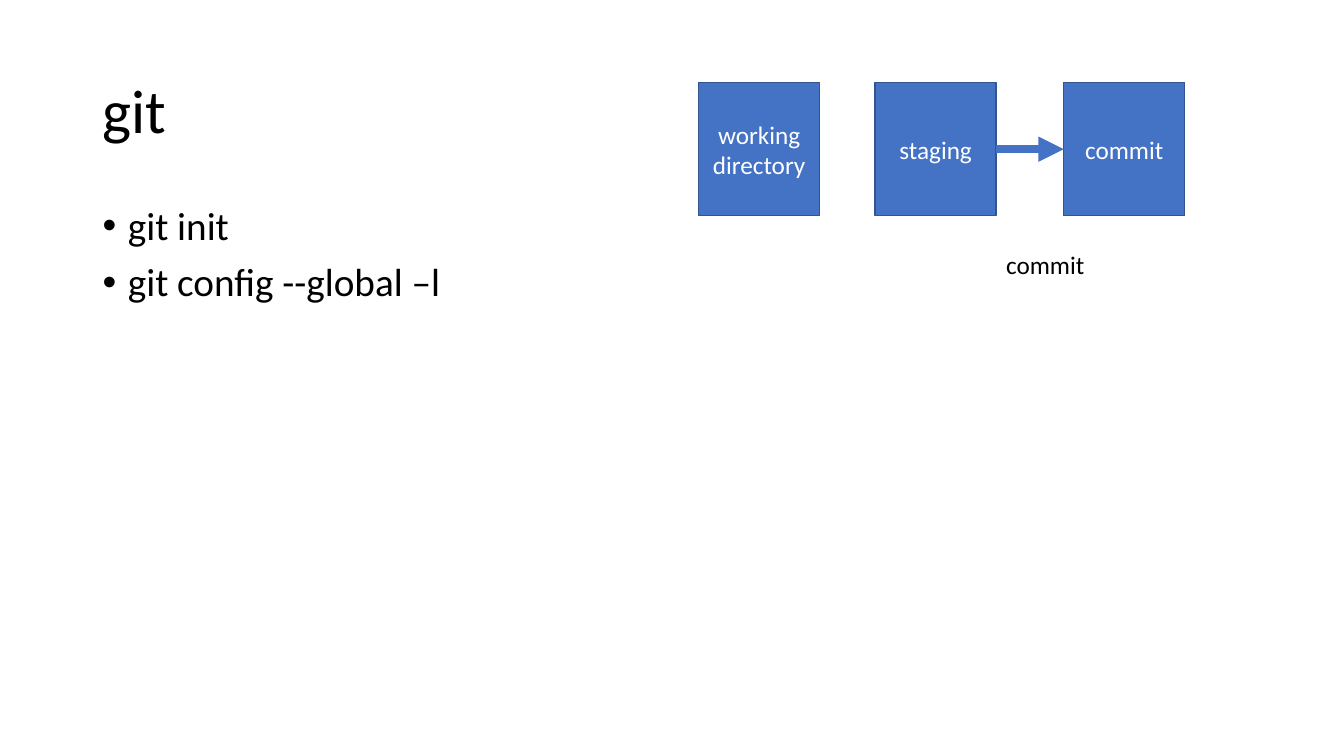
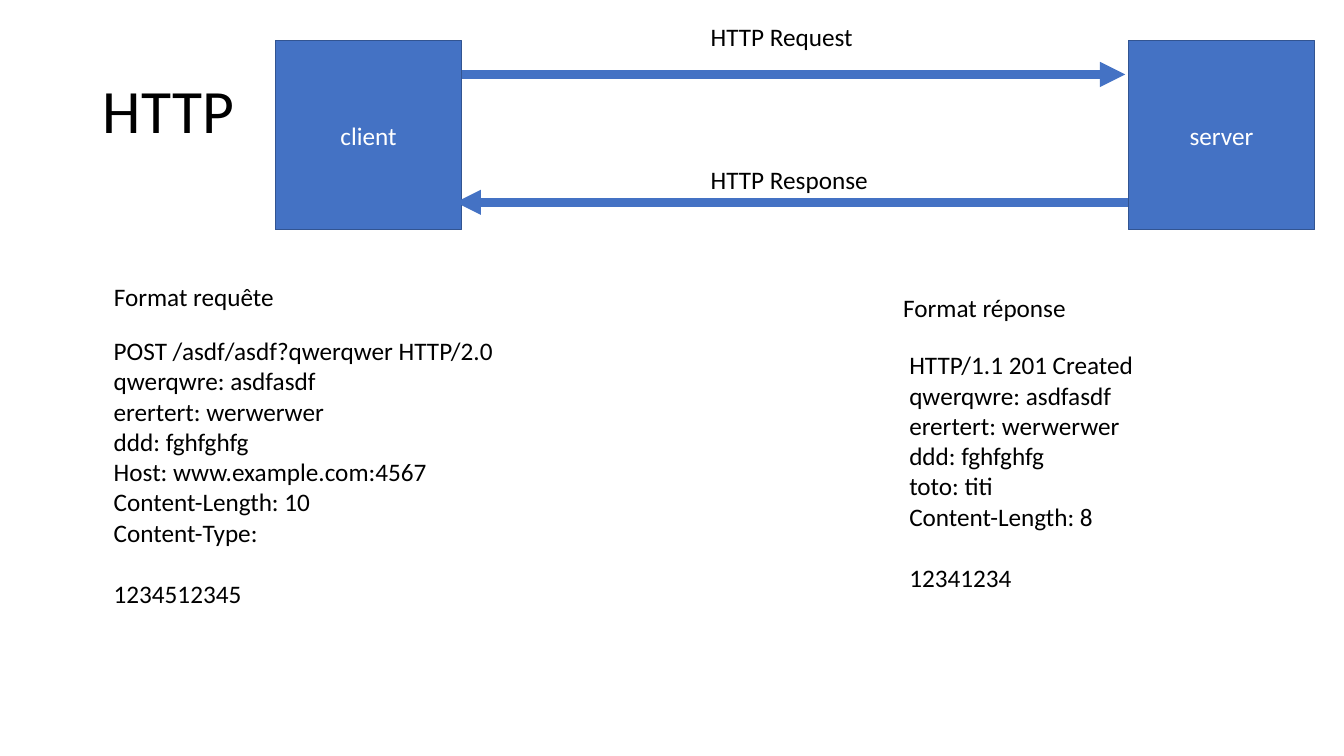
from dataclasses import dataclass

from pptx import Presentation
from pptx import util as u
from pptx.dml.color import RGBColor
from pptx.enum import shapes, text
from pptx.oxml.ns import qn
from lxml import etree

FONT = "Calibri"
BLUE, EDGE, INK, WHITE = "4472C4", "325491", "000000", "FFFFFF"
WIDTH, HEIGHT = 13.33, 7.5
MARGIN, TITLE_TOP, TITLE_HEIGHT = 0.92, 0.4, 1.45
TITLE_SIZE, BULLET_SIZE, TEXT_SIZE = 44, 28, 18
LABEL_HEIGHT = 0.4
LINE_HEIGHT = 22  # points taken by one line of TEXT_SIZE


@dataclass
class Box:
    """An area of the page, in inches."""
    left: float
    top: float
    width: float
    height: float

    def inside(self, left, top, width, height):
        """A box placed by its distance from this box's corner."""
        return Box(self.left + left, self.top + top, width, height)

    def lengths(self):
        return [u.Inches(n) for n in (self.left, self.top, self.width, self.height)]


# Shared styles
def colour(value):
    return RGBColor.from_string(value)


def style(para, size, ink=INK):
    para.font.name = FONT
    para.font.size = u.Pt(size)
    para.font.color.rgb = colour(ink)


def add_page(deck, title, width):
    page = deck.slides.add_slide(deck.slide_layouts[5])
    holder = page.shapes.title
    area = Box(MARGIN, TITLE_TOP, width, TITLE_HEIGHT)
    holder.left, holder.top, holder.width, holder.height = area.lengths()
    frame = holder.text_frame
    frame.text = title
    frame.vertical_anchor = text.MSO_ANCHOR.MIDDLE
    para = frame.paragraphs[0]
    para.alignment = text.PP_ALIGN.LEFT
    para.line_spacing = 0.9
    style(para, TITLE_SIZE)
    return page


def add_block(page, area, caption):
    block = page.shapes.add_shape(shapes.MSO_SHAPE.RECTANGLE, *area.lengths())
    block.shadow.inherit = False
    block.fill.solid()
    block.fill.fore_color.rgb = colour(BLUE)
    block.line.color.rgb = colour(EDGE)
    block.line.width = u.Pt(1)
    frame = block.text_frame
    frame.text = caption
    frame.word_wrap = True
    frame.vertical_anchor = text.MSO_ANCHOR.MIDDLE
    para = frame.paragraphs[0]
    para.alignment = text.PP_ALIGN.CENTER
    style(para, TEXT_SIZE, WHITE)
    return block


def add_arrow(page, start, end, y):
    arrow = page.shapes.add_connector(
        shapes.MSO_CONNECTOR.STRAIGHT, *[u.Inches(n) for n in (start, y, end, y)])
    arrow.line.color.rgb = colour(BLUE)
    arrow.line.width = u.Pt(6)
    etree.SubElement(arrow.line._get_or_add_ln(), qn("a:tailEnd"), type="triangle")
    etree.SubElement(arrow._element.spPr, qn("a:effectLst"))
    return arrow


def add_text(page, area, lines, size=TEXT_SIZE, wrap=False):
    frame = page.shapes.add_textbox(*area.lengths()).text_frame
    frame.word_wrap = wrap
    for number, line in enumerate(lines):
        para = frame.paragraphs[0] if number == 0 else frame.add_paragraph()
        para.text = line
        style(para, size)
    return frame.paragraphs


# Regions
def bullet_list(page, area, lines):
    for para in add_text(page, area, lines, BULLET_SIZE, wrap=True):
        para.line_spacing = 0.9
        para.space_before = u.Pt(10)
        props = para._p.get_or_add_pPr()
        props.set("marL", str(u.Inches(0.25)))
        props.set("indent", str(u.Inches(-0.25)))
        etree.SubElement(props, qn("a:buFont"), typeface="Arial")
        etree.SubElement(props, qn("a:buChar"), char="•")
        # The default run properties come last in the schema
        props.append(props.find(qn("a:defRPr")))


def stage_row(page, area):
    stages = (("working directory", 0), ("staging", 1.75), ("commit", 3.62))
    blocks = [add_block(page, area.inside(left, 0, 1.2, area.height), name)
              for name, left in stages]
    arrow = add_arrow(page, area.left + 2.95, area.left + 3.62,
                      area.top + area.height / 2)
    arrow.begin_connect(blocks[1], 3)
    arrow.end_connect(blocks[2], 1)
    add_text(page, area.inside(2.95, 1.6, 0.99, LABEL_HEIGHT), ["commit"])


def exchange(page, area):
    side = 1.85
    far = area.width - side
    for name, left in (("client", 0), ("server", far)):
        add_block(page, area.inside(left, 0, side, area.height), name)
    # Label, its top and width, arrow start and end, arrow's share of the height
    messages = (("HTTP Request", -0.24, 1.63, side, far - 0.03, 0.18),
                ("HTTP Response", 1.18, 1.78, far, side - 0.06, 0.855))
    for label, top, width, start, end, share in messages:
        add_arrow(page, area.left + start, area.left + end,
                  area.top + share * area.height)
        add_text(page, area.inside(4.22, top, width, LABEL_HEIGHT), [label])


def message_format(page, area, heading, heading_width, offset, lines, content):
    add_text(page, area.inside(0, 0, heading_width, LABEL_HEIGHT), [heading])
    left, top = offset
    body = area.inside(left, top, area.width - left, area.height - top)
    paras = add_text(page, body, [*lines, content])
    paras[-1].space_before = u.Pt(LINE_HEIGHT)


# Slides
def git_slide(deck):
    page = add_page(deck, "git", 4.35)
    bullet_list(page, Box(MARGIN, 2, 3.9, 4.76),
                ["git init", "git config --global –l"])
    stage_row(page, Box(6.93, 0.82, 4.82, 1.32))


def http_slide(deck):
    page = add_page(deck, "HTTP", 11.5)
    exchange(page, Box(2.73, TITLE_TOP, 10.31, 1.88))
    shared = ["qwerqwre: asdfasdf", "erertert: werwerwer", "ddd: fghfghfg"]
    message_format(
        page, Box(1.03, 2.74, 4, 3.67), "Format requête", 1.81, (0, 0.54),
        ["POST /asdf/asdf?qwerqwer HTTP/2.0", *shared,
         "Host: www.example.com:4567", "Content-Length: 10", "Content-Type:"],
        "1234512345")
    message_format(
        page, Box(8.86, 2.85, 2.56, 3.4), "Format réponse", 1.83, (0.06, 0.57),
        ["HTTP/1.1 201 Created", *shared, "toto: titi", "Content-Length: 8"],
        "12341234")


def main():
    deck = Presentation()
    deck.slide_width, deck.slide_height = u.Inches(WIDTH), u.Inches(HEIGHT)
    git_slide(deck)
    http_slide(deck)
    deck.save("out.pptx")


if __name__ == "__main__":
    main()
